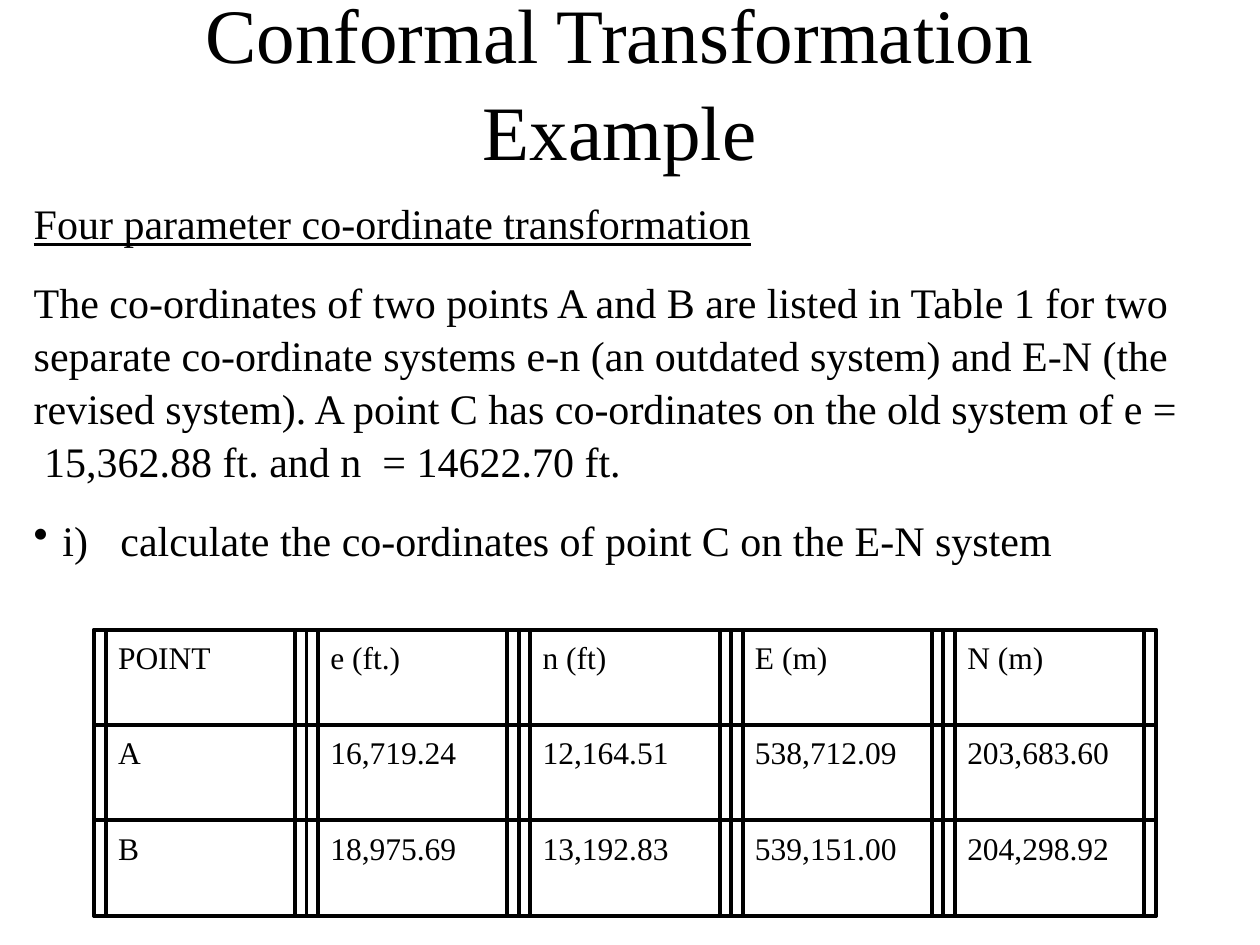
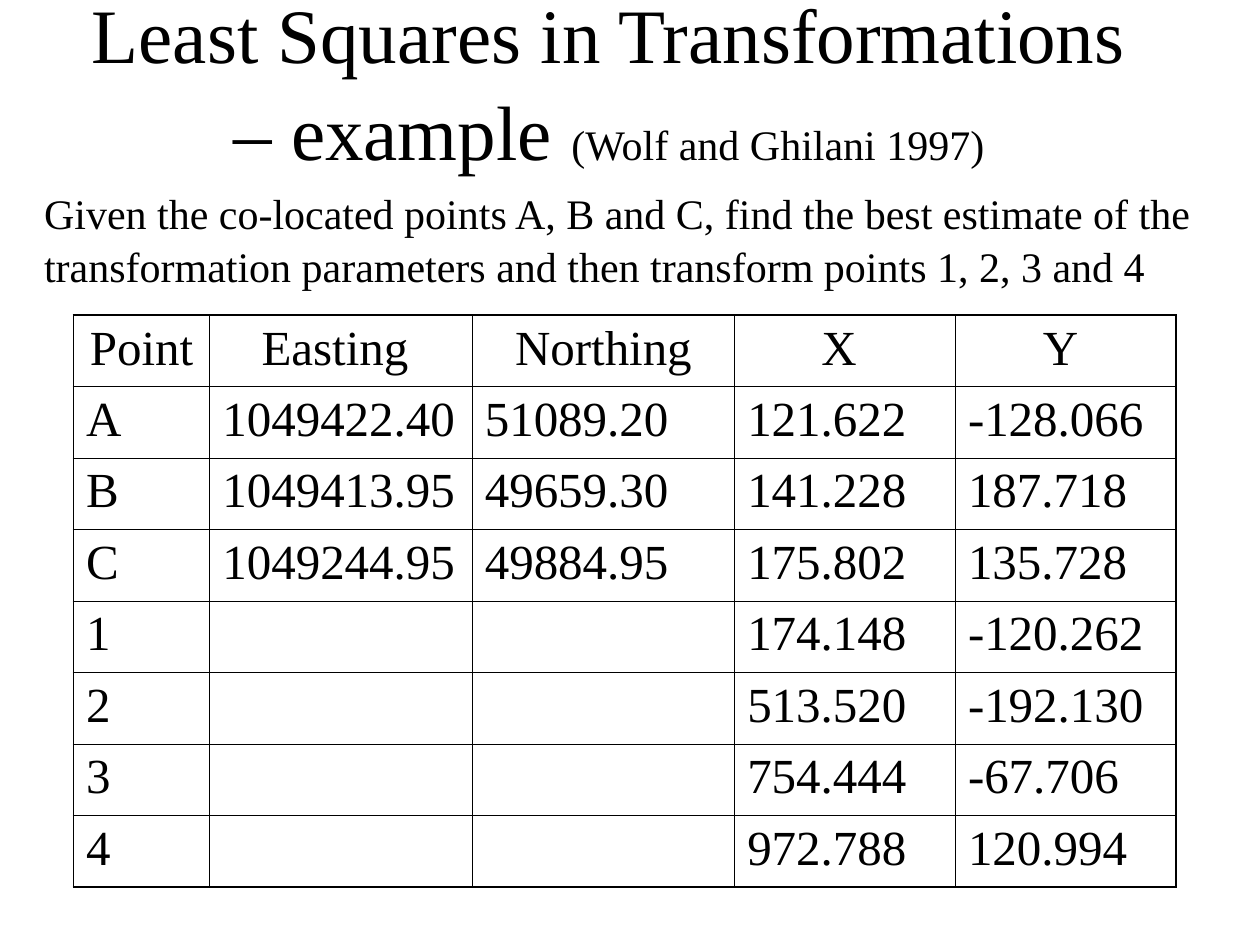
from lxml import etree
from pptx import Presentation
from pptx.dml.color import RGBColor
from pptx.enum.shapes import MSO_SHAPE
from pptx.enum.text import MSO_ANCHOR, PP_ALIGN
from pptx.oxml.ns import qn
from pptx.util import Cm, Pt

BLACK = RGBColor(0x00, 0x00, 0x00)
WHITE = RGBColor(0xFF, 0xFF, 0xFF)
FONT = "Times New Roman"
RECT = MSO_SHAPE.RECTANGLE
LEFT, CENTER = PP_ALIGN.LEFT, PP_ALIGN.CENTER
TOP, MIDDLE = MSO_ANCHOR.TOP, MSO_ANCHOR.MIDDLE
THIN, THICK = 0.45, 1.08


def add_bullet(para, hang, tab):
    """Give a paragraph a hanging bullet and one tab stop."""
    props = para._p.get_or_add_pPr()
    props.set("marL", str(Cm(hang)))
    props.set("indent", str(-Cm(hang)))
    etree.SubElement(props, qn("a:buChar"), char="•")
    stops = etree.SubElement(props, qn("a:tabLst"))
    etree.SubElement(stops, qn("a:tab"), pos=str(Cm(tab)), algn="l")


def write(para, text, size=24, align=LEFT, lines=1.05, before=0, under=False):
    """Add one run of text to a paragraph."""
    para.alignment = align
    para.line_spacing = lines
    para.space_before = Pt(before)
    run = para.add_run()
    run.text = text
    font = run.font
    font.name, font.size, font.underline = FONT, Pt(size), under
    font.color.rgb = BLACK


def set_edges(cell, **widths):
    """Draw the cell borders, given in the order L, R, T, B."""
    props = cell._tc.get_or_add_tcPr()
    for spot, (side, width) in enumerate(widths.items()):
        line = etree.Element(qn(f"a:ln{side}"), w=str(Pt(width)))
        fill = etree.SubElement(line, qn("a:solidFill"))
        etree.SubElement(fill, qn("a:srgbClr"), val=str(BLACK))
        props.insert(spot, line)


class Deck:
    def __init__(self):
        self.prs = Presentation()
        self.prs.slide_width, self.prs.slide_height = Cm(25.4), Cm(19.05)
        self.slide = None

    def start(self):
        self.slide = self.prs.slides.add_slide(self.prs.slide_layouts[6])
        back = self.slide.background.fill
        back.solid()
        back.fore_color.rgb = WHITE

    def text(self, left, top, width, height, anchor=TOP):
        box = self.slide.shapes.add_textbox(Cm(left), Cm(top), Cm(width), Cm(height))
        frame = box.text_frame
        frame.word_wrap = True
        frame.vertical_anchor = anchor
        return frame

    def title(self, left, text, note=""):
        para = self.text(left, 0, 21.59, 3.18, MIDDLE).paragraphs[0]
        write(para, text, size=44, align=CENTER)
        if note:
            write(para, note, align=CENTER)

    def frame(self, left, top, width, height, text=""):
        box = self.slide.shapes.add_shape(RECT, Cm(left), Cm(top), Cm(width), Cm(height))
        box.shadow.inherit = False
        box.fill.background()
        box.line.color.rgb = BLACK
        box.line.width = Pt(2.25)
        if text:
            box.text_frame.word_wrap = True
            box.text_frame.vertical_anchor = TOP
            write(box.text_frame.paragraphs[0], text, size=18)

    def grid(self, left, top, wide, high, gap, rows):
        """Framed cells, each with an inner box that leaves a side gap."""
        for i, row in enumerate(rows):
            for j, text in enumerate(row):
                x, y = left + j * wide, top + i * high
                self.frame(x + gap, y, wide - 2 * gap, high, text)
                self.frame(x, y, wide, high)
        self.frame(left, top, wide * len(rows[0]), high * len(rows))

    def table(self, left, top, widths, high, rows):
        last, end = len(rows) - 1, len(widths) - 1
        shape = self.slide.shapes.add_table(
            len(rows), len(widths), Cm(left), Cm(top),
            Cm(sum(widths)), Cm(high * len(rows)))
        table = shape.table
        table.first_row = table.horz_banding = False
        for col, width in zip(table.columns, widths):
            col.width = Cm(width)
        for i, row in enumerate(rows):
            table.rows[i].height = Cm(high)
            for j, text in enumerate(row):
                cell = table.cell(i, j)
                cell.fill.background()
                set_edges(cell,
                          L=THIN if j else THICK, R=THICK if j == end else THIN,
                          T=THIN if i else THICK, B=THICK if i == last else THIN)
                if text:
                    write(cell.text_frame.paragraphs[0], text, size=28,
                          align=LEFT if i else CENTER, lines=1.0)


def show_conformal(deck):
    deck.start()
    deck.title(1.7, "Conformal Transformation Example")

    # Task
    body = deck.text(0.43, 3.81, 23.7, 8.97)
    write(body.paragraphs[0], "Four parameter co-ordinate transformation", under=True)
    write(body.add_paragraph(),
          "The co-ordinates of two points A and B are listed in Table 1 for two "
          "separate co-ordinate systems e-n (an outdated system) and E-N (the "
          "revised system). A point C has co-ordinates on the old system of "
          "e =  15,362.88 ft. and n  = 14622.70 ft.", before=15)
    step = body.add_paragraph()
    add_bullet(step, 0.58, 1.75)
    write(step, "i)\tcalculate the co-ordinates of point C on the E-N system", before=15)

    # Known points
    deck.grid(1.9, 12.7, 4.28, 1.92, 0.23, [
        ("POINT", "e (ft.)", "n (ft)", "E (m)", "N (m)"),
        ("A", "16,719.24", "12,164.51", "538,712.09", "203,683.60"),
        ("B", "18,975.69", "13,192.83", "539,151.00", "204,298.92"),
    ])


def show_squares(deck):
    deck.start()
    deck.title(1.48, "Least Squares in Transformations – example ",
               "(Wolf and Ghilani 1997)")

    # Points in both systems
    deck.table(1.48, 6.35, (2.75, 5.29, 5.29, 4.45, 4.45), 1.44, [
        ("Point", "Easting ", "Northing", "X ", "Y "),
        ("A", "1049422.40", "51089.20", "121.622", "-128.066"),
        ("B", "1049413.95", "49659.30", "141.228", "187.718"),
        ("C", "1049244.95", "49884.95", "175.802", "135.728"),
        ("1", "", "", "174.148", "-120.262"),
        ("2", "", "", "513.520", "-192.130"),
        ("3", "", "", "754.444", "-67.706"),
        ("4", "", "", "972.788", "120.994"),
    ])

    # Task
    write(deck.text(0.64, 3.6, 24.76, 2.29).paragraphs[0],
          "Given the co-located points A, B and C, find the best estimate of the "
          "transformation parameters and then transform points 1, 2, 3 and 4")


def main():
    deck = Deck()
    show_conformal(deck)
    show_squares(deck)
    deck.prs.save("out.pptx")


if __name__ == "__main__":
    main()
